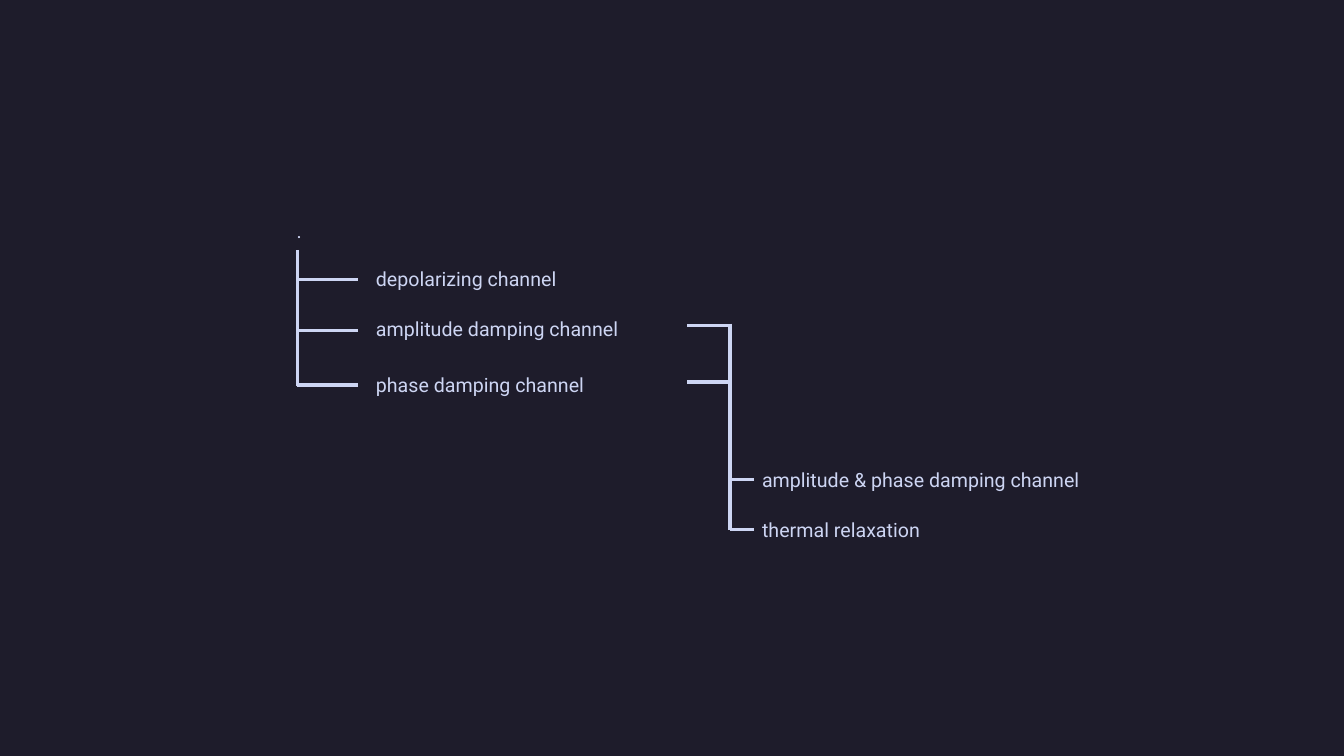
"""Draw a tree of quantum noise channels on a dark slide."""
from dataclasses import dataclass

from pptx import Presentation
from pptx.dml.color import RGBColor as Rgb
from pptx.enum.shapes import MSO_CONNECTOR as Link
from pptx.enum.text import MSO_AUTO_SIZE as Fit, PP_ALIGN as Align
from pptx.oxml.ns import qn
from pptx.util import Inches, Pt
from lxml.etree import SubElement


@dataclass(frozen=True)
class Theme:
    back: Rgb = Rgb(0x1E, 0x1C, 0x2B)
    ink: Rgb = Rgb(0xCD, 0xD5, 0xF3)
    font: str = "Roboto"
    size: int = 14
    line: float = 2.25


THEME = Theme()
WIDE, HIGH = 13.33, 7.5
ROW = 0.34

ROOT = "."
CHANNELS = [
    ("depolarizing channel", 2.77, 2.67),
    ("amplitude damping channel", 3.26, 3.26),
    ("phase damping channel", 3.82, 2.79),
]
MERGED = [
    ("amplitude & phase damping channel", 4.76, 4.2),
    ("thermal relaxation", 5.26, 2.32),
]
TRUNKS = [(2.95, 2.48, 3.83), (7.24, 3.21, 5.26)]
TWIGS = [
    (2.95, 3.55, [2.77, 3.28, 3.82]),
    (6.81, 7.24, [3.23, 3.79]),
    (7.24, 7.48, [4.76, 5.25]),
]
LISTS = [(3.63, CHANNELS), (7.46, MERGED)]


def draw_line(slide, x1, y1, x2, y2):
    line = slide.shapes.add_connector(
        Link.STRAIGHT, *(Inches(n) for n in (x1, y1, x2, y2)))
    line.line.color.rgb = THEME.ink
    line.line.width = Pt(THEME.line)
    SubElement(line._element.spPr, qn("a:effectLst"))


def write(slide, text, left, mid, width, wrap=False, align=Align.LEFT):
    box = slide.shapes.add_textbox(
        *(Inches(n) for n in (left, mid - ROW / 2, width, ROW)))
    frame = box.text_frame
    frame.word_wrap = wrap
    frame.auto_size = Fit.SHAPE_TO_FIT_TEXT
    para = frame.paragraphs[0]
    para.text = text
    para.alignment = align
    para.font.name = THEME.font
    para.font.size = Pt(THEME.size)
    para.font.color.rgb = THEME.ink


def main():
    deck = Presentation()
    deck.slide_width, deck.slide_height = Inches(WIDE), Inches(HIGH)
    slide = deck.slides.add_slide(deck.slide_layouts[6])
    fill = slide.background.fill
    fill.solid()
    fill.fore_color.rgb = THEME.back

    for x, top, end in TRUNKS:
        draw_line(slide, x, top, x, end)
    for start, end, rows in TWIGS:
        for y in rows:
            draw_line(slide, end, y, start, y)

    write(slide, ROOT, 2.86, 2.29, 0.18, True, Align.CENTER)
    for left, items in LISTS:
        for text, mid, width in items:
            write(slide, text, left, mid, width)
    deck.save("out.pptx")


if __name__ == "__main__":
    main()
